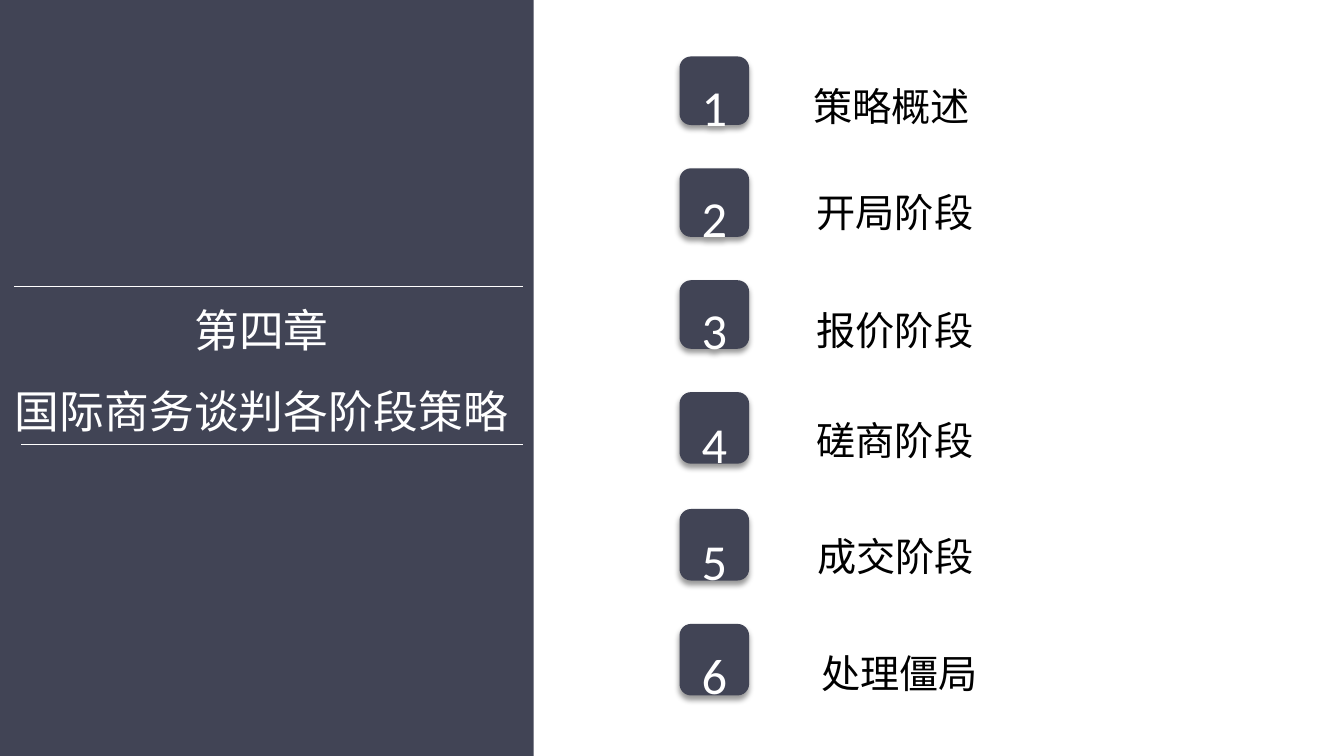
from lxml.etree import SubElement
from pptx import Presentation
from pptx.dml.color import RGBColor
from pptx.enum.shapes import MSO_CONNECTOR, MSO_SHAPE
from pptx.enum.text import MSO_ANCHOR, MSO_AUTO_SIZE, PP_ALIGN
from pptx.oxml.ns import qn
from pptx.util import Inches, Pt

SLATE, WHITE, BLACK = "414455", "FFFFFF", "000000"
CHINESE_FONT = "Noto Sans CJK SC"

# Number tile top and height, label text, label left and top, in percent of the slide
CHAPTER_STAGES = [
    (7.47, 9.07, "策略概述", 59.79, 7.07),
    (22.27, 9.07, "开局阶段", 60.02, 21.2),
    (37.07, 9.07, "报价阶段", 60.02, 36.8),
    (51.87, 9.47, "磋商阶段", 60.02, 51.33),
    (67.33, 9.47, "成交阶段", 60.09, 66.67),
    (82.53, 9.47, "处理僵局", 60.39, 82.13),
]


def color(hex_string):
    return RGBColor.from_string(hex_string)


class SlideBuilder:
    """Draws on one slide; every length is a percentage of the slide's size."""

    line_spacing = 1.5

    def __init__(self, presentation):
        self.width = presentation.slide_width
        self.height = presentation.slide_height
        self.slide = presentation.slides.add_slide(presentation.slide_layouts[6])

    def place(self, left, top, width, height):
        """Turn shares of the slide into lengths."""
        return (int(self.width * left / 100), int(self.height * top / 100),
                int(self.width * width / 100), int(self.height * height / 100))

    def panel(self, box, fill, preset=MSO_SHAPE.RECTANGLE):
        shape = self.slide.shapes.add_shape(preset, *self.place(*box))
        shape.shadow.inherit = False
        shape.fill.solid()
        shape.fill.fore_color.rgb = color(fill)
        shape.line.fill.background()
        return shape

    def number_tile(self, box, number):
        tile = self.panel(box, SLATE, MSO_SHAPE.ROUNDED_RECTANGLE)
        self.drop_shadow(tile)
        tile.text_frame.vertical_anchor = MSO_ANCHOR.MIDDLE
        self.add_lines(tile.text_frame, [str(number)], 36, "Calibri", WHITE, PP_ALIGN.CENTER)

    def drop_shadow(self, shape):
        effects = shape._element.spPr.find(qn("a:effectLst"))
        shadow = SubElement(effects, qn("a:outerShdw"), blurRad=str(Pt(4)),
                            dist=str(Pt(3)), dir="5400000", rotWithShape="0")
        shade = SubElement(shadow, qn("a:srgbClr"), val=BLACK)
        SubElement(shade, qn("a:alpha"), val="40000")

    def text(self, box, lines, size, font, ink, align=PP_ALIGN.LEFT, wrap=False):
        frame = self.slide.shapes.add_textbox(*self.place(*box)).text_frame
        frame.word_wrap = wrap
        frame.auto_size = MSO_AUTO_SIZE.SHAPE_TO_FIT_TEXT
        self.add_lines(frame, lines, size, font, ink, align)

    def add_lines(self, frame, lines, size, font, ink, align):
        for index, line in enumerate(lines):
            paragraph = frame.add_paragraph() if index else frame.paragraphs[0]
            paragraph.alignment = align
            paragraph.line_spacing = self.line_spacing
            run = paragraph.add_run()
            run.text = line
            run.font.size = Pt(size)
            run.font.color.rgb = color(ink)
            run.font.name = font
            SubElement(run._r.get_or_add_rPr(), qn("a:ea"), typeface=CHINESE_FONT)

    def rule(self, left, right, top):
        """Draw a thin horizontal white line."""
        start_x, y, end_x, _ = self.place(left, top, right, 0)
        line = self.slide.shapes.add_connector(MSO_CONNECTOR.STRAIGHT, start_x, y, end_x, y)
        line.line.color.rgb = color(WHITE)
        line.line.width = Pt(0.5)
        SubElement(line._element.spPr, qn("a:effectLst"))


def main():
    presentation = Presentation()
    presentation.slide_width = Inches(13.33)
    presentation.slide_height = Inches(7.5)
    builder = SlideBuilder(presentation)

    builder.panel((0, 0, 39.7, 100), SLATE)
    builder.text((-0.75, 35.87, 40.43, 22.93), ["第四章", "国际商务谈判各阶段策略"],
                 32, "Times New Roman", WHITE, PP_ALIGN.CENTER, wrap=True)
    builder.rule(1.05, 38.93, 37.87)
    builder.rule(1.58, 38.93, 58.8)

    for number, stage in enumerate(CHAPTER_STAGES, start=1):
        tile_top, tile_height, label, label_left, label_top = stage
        builder.number_tile((50.56, tile_top, 5.18, tile_height), number)
        builder.text((label_left, label_top, 13.28, 9.6), [label], 28, CHINESE_FONT, BLACK)

    presentation.save("out.pptx")


if __name__ == "__main__":
    main()
